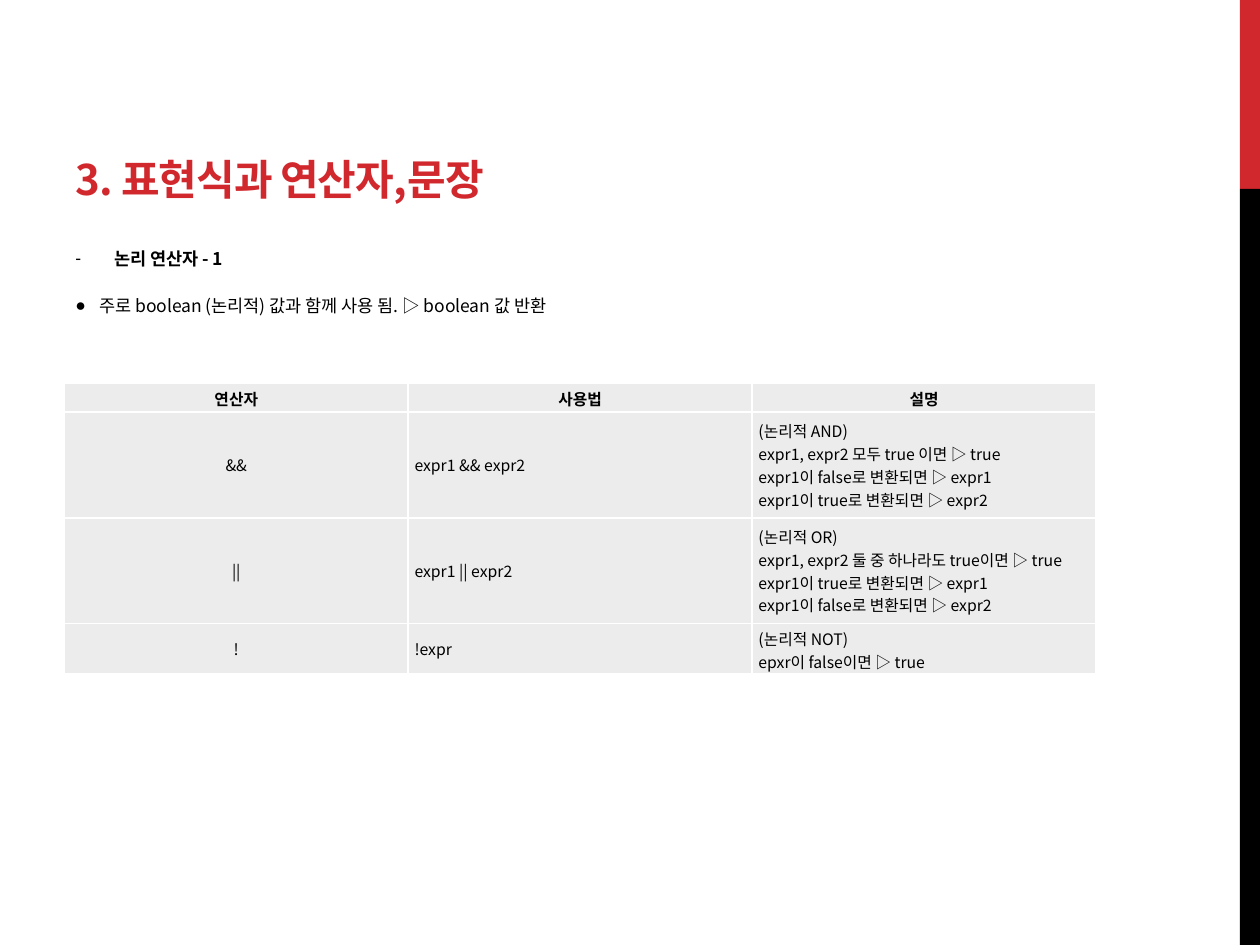
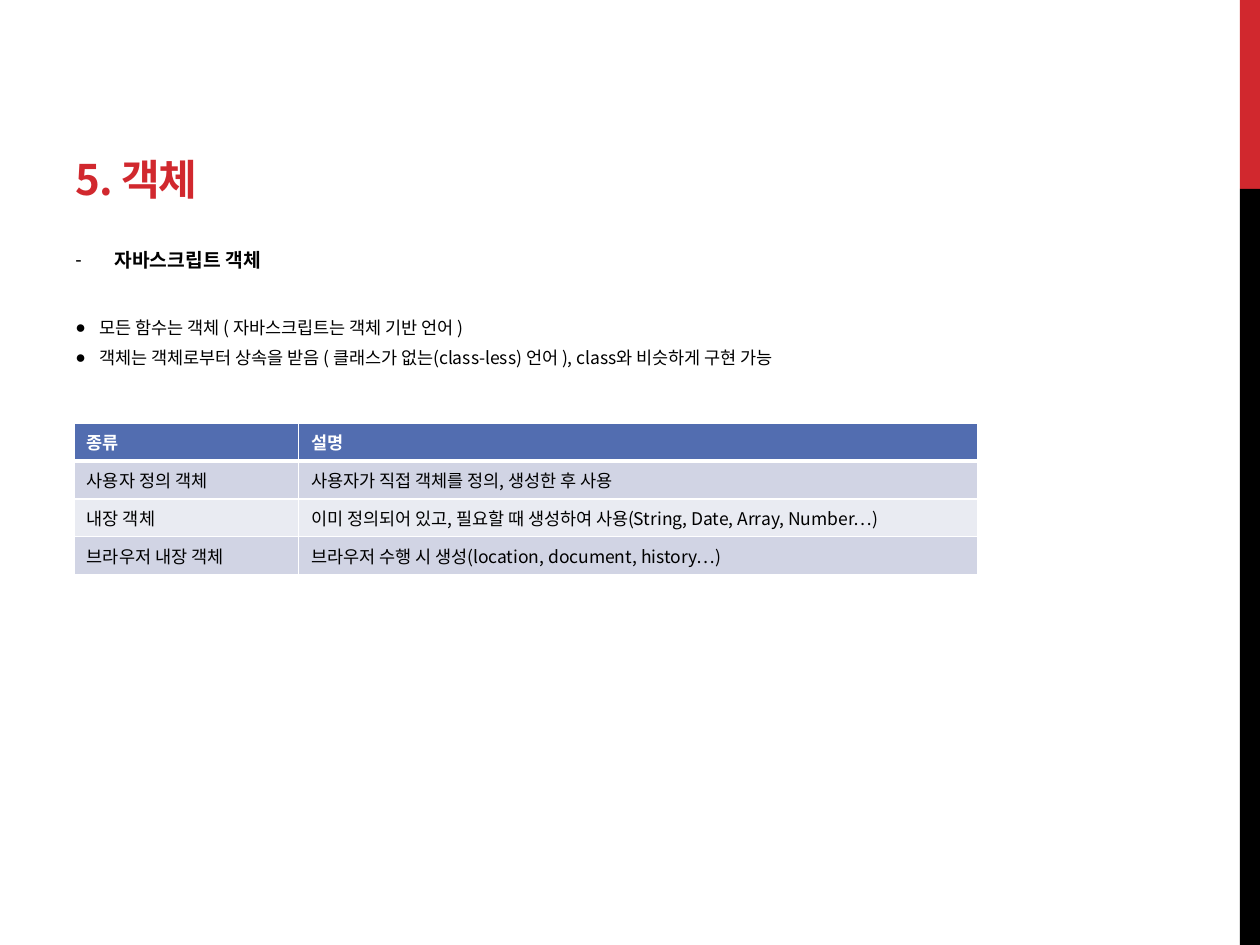
from dataclasses import dataclass
from lxml.etree import SubElement
from pptx import Presentation
from pptx.dml.color import RGBColor
from pptx.enum.shapes import MSO_SHAPE
from pptx.enum.text import MSO_ANCHOR, PP_ALIGN
from pptx.oxml.ns import qn
from pptx.util import Inches, Pt


@dataclass(frozen=True)
class Theme:
    font: str = "Noto Sans CJK KR"
    bullet_font: str = "Arial"
    red: str = "D1282E"
    black: str = "000000"
    white: str = "FFFFFF"
    gray: str = "ECECEC"
    blue: str = "526DB0"
    band_dark: str = "D1D4E4"
    band_light: str = "E9EBF2"
    title_size: int = 24
    body_size: int = 10
    title_tracking: int = -60


THEME = Theme()

# Each point: bullet, text, size, bold, hanging indent (inches), space before (points)
PAGES = [
    {
        "title": "3. 표현식과 연산자,문장",
        "body_width": 8.33,
        "points": [
            ("-", "논리 연산자 - 1", 10, True, 0.31, 0),
            ("●", "주로 boolean (논리적) 값과 함께 사용 됨. ▷ boolean 값 반환", 10, False, 0.19, 15),
        ],
        "table": {
            "at": (0.51, 3.04),
            "columns": [2.73, 2.73, 2.73],
            "rows": [0.23, 0.84, 0.84, 0.4],
            "margins": (0.05, 0.03),
            "anchor": MSO_ANCHOR.MIDDLE,
            "size": 9,
            "header": (THEME.gray, THEME.black),
            "bands": [THEME.gray],
            "header_rule": 1,
            "centered_header": True,
            "centered_columns": [0],
            "cells": [
                ["연산자", "사용법", "설명"],
                ["&&", "expr1 && expr2",
                 "(논리적 AND)\nexpr1, expr2 모두 true 이면 ▷ true\n"
                 "expr1이 false로 변환되면 ▷ expr1\nexpr1이 true로 변환되면 ▷ expr2"],
                ["||", "expr1 || expr2",
                 "(논리적 OR)\nexpr1, expr2 둘 중 하나라도 true이면 ▷ true\n"
                 "expr1이 true로 변환되면 ▷ expr1\nexpr1이 false로 변환되면 ▷ expr2"],
                ["!", "!expr", "(논리적 NOT)\nepxr이 false이면 ▷ true"],
            ],
        },
    },
    {
        "title": "5. 객체",
        "body_width": 9.22,
        "points": [
            ("-", "자바스크립트 객체", 11, True, 0.31, 0),
            ("●", "모든 함수는 객체 ( 자바스크립트는 객체 기반 언어 )", 10, False, 0.19, 26),
            ("●", "객체는 객체로부터 상속을 받음 ( 클래스가 없는(class-less) 언어 ), "
                  "class와 비슷하게 구현 가능", 10, False, 0.19, 5.5),
        ],
        "table": {
            "at": (0.59, 3.36),
            "columns": [1.78, 5.39],
            "rows": [0.3] * 4,
            "margins": (0.1, 0.05),
            "anchor": MSO_ANCHOR.TOP,
            "size": 10,
            "header": (THEME.blue, THEME.white),
            "bands": [THEME.band_dark, THEME.band_light],
            "header_rule": 3,
            "centered_header": False,
            "centered_columns": [],
            "cells": [
                ["종류", "설명"],
                ["사용자 정의 객체", "사용자가 직접 객체를 정의, 생성한 후 사용"],
                ["내장 객체", "이미 정의되어 있고, 필요할 때 생성하여 사용(String, Date, Array, Number…)"],
                ["브라우저 내장 객체", "브라우저 수행 시 생성(location, document, history…)"],
            ],
        },
    },
]


def add_span(para, text, size, color, bold):
    span = para.add_run()
    span.text = text
    span.font.size = Pt(size)
    span.font.bold = bold
    span.font.color.rgb = RGBColor.from_string(color)
    span.font.name = THEME.font
    SubElement(span.font._element, qn("a:ea"), typeface=THEME.font)
    return span


def add_box(page, left, top, width, height):
    frame = page.shapes.add_textbox(*map(Inches, (left, top, width, height))).text_frame
    frame.word_wrap = True
    return frame


def add_side_band(page):
    for top, height, color in [(0, 1.5, THEME.red), (1.5, 6, THEME.black)]:
        band = page.shapes.add_shape(MSO_SHAPE.RECTANGLE, *map(Inches, (9.84, top, 0.16, height)))
        band.shadow.inherit = False
        band.fill.solid()
        band.fill.fore_color.rgb = RGBColor.from_string(color)
        band.line.fill.background()


def add_title(page, text):
    frame = add_box(page, 0.5, 0.17, 8.36, 1.5)
    frame.vertical_anchor = MSO_ANCHOR.BOTTOM
    span = add_span(frame.paragraphs[0], text, THEME.title_size, THEME.red, True)
    span.font._element.set("spc", str(THEME.title_tracking))


def set_bullet(para, mark, indent):
    properties = para._p.get_or_add_pPr()
    properties.set("marL", str(Inches(indent)))
    properties.set("indent", str(-Inches(indent)))
    SubElement(properties, qn("a:buFont"), typeface=THEME.bullet_font)
    SubElement(properties, qn("a:buChar"), char=mark)


def add_points(page, points, width):
    frame = add_box(page, 0.5, 1.92, width, 5.33)
    for index, (mark, text, size, bold, indent, before) in enumerate(points):
        para = frame.add_paragraph() if index else frame.paragraphs[0]
        para.space_before = Pt(before)
        set_bullet(para, mark, indent)
        add_span(para, text, size, THEME.black, bold)


def set_borders(cell, top, bottom):
    """Draw white rules round a cell; top and bottom are widths in points."""
    properties = cell._tc.get_or_add_tcPr()
    for side, width in [("L", 1), ("R", 1), ("T", top), ("B", bottom)]:
        line = SubElement(properties, qn(f"a:ln{side}"), w=str(Pt(width)))
        fill = SubElement(line, qn("a:solidFill"))
        SubElement(fill, qn("a:srgbClr"), val=THEME.white)


def fill_cell(cell, text, row, column, style):
    is_header = row == 0
    set_borders(cell,
                top=style["header_rule"] if row == 1 else 1,
                bottom=style["header_rule"] if is_header else 1)
    bands = style["bands"]
    background, color = style["header"] if is_header else (bands[(row - 1) % len(bands)], THEME.black)
    cell.fill.solid()
    cell.fill.fore_color.rgb = RGBColor.from_string(background)
    side, edge = map(Inches, style["margins"])
    cell.margin_left = cell.margin_right = side
    cell.margin_top = cell.margin_bottom = edge
    cell.vertical_anchor = style["anchor"]
    centered = style["centered_header"] if is_header else column in style["centered_columns"]
    for index, line in enumerate(text.split("\n")):
        para = cell.text_frame.add_paragraph() if index else cell.text_frame.paragraphs[0]
        para.alignment = PP_ALIGN.CENTER if centered else PP_ALIGN.LEFT
        add_span(para, line, style["size"], color, is_header)


def add_grid(page, style):
    columns, rows = style["columns"], style["rows"]
    left, top = style["at"]
    frame = page.shapes.add_table(len(rows), len(columns),
                                  *map(Inches, (left, top, sum(columns), sum(rows))))
    table = frame.table
    for column, width in zip(table.columns, columns):
        column.width = Inches(width)
    for row, height in zip(table.rows, rows):
        row.height = Inches(height)
    for row, texts in enumerate(style["cells"]):
        for column, text in enumerate(texts):
            fill_cell(table.cell(row, column), text, row, column, style)


def main():
    deck = Presentation()
    deck.slide_width, deck.slide_height = Inches(10), Inches(7.5)
    for content in PAGES:
        page = deck.slides.add_slide(deck.slide_layouts[6])
        add_side_band(page)
        add_points(page, content["points"], content["body_width"])
        add_title(page, content["title"])
        add_grid(page, content["table"])
    deck.save("out.pptx")


if __name__ == "__main__":
    main()
